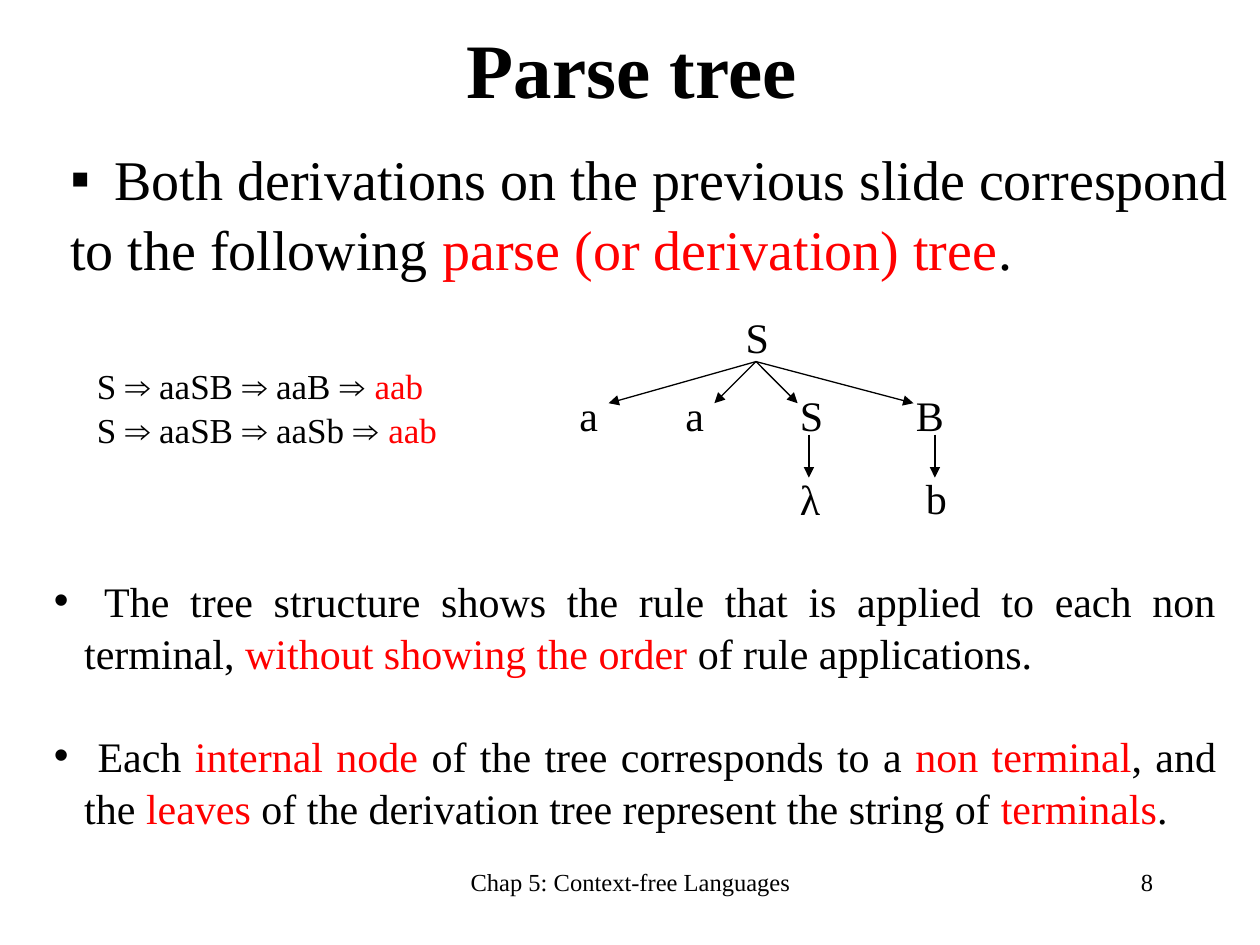
import pptx
import pptx.util
import pptx.dml.color
import pptx.enum.text
import lxml.etree as etree
from pptx.oxml.ns import qn

PX = 9144  # 100 px to the inch
BLACK, RED = "000000", "FF0000"
SERIF, SANS = "Times New Roman", "Arial"
ALIGN = pptx.enum.text.PP_ALIGN


def color(text):
    return pptx.dml.color.RGBColor.from_string(text)


def write(home, box, lines, size, align=ALIGN.LEFT, bullet=None):
    """Add a text box; each line is a list of (text, color, font) runs."""
    frame = home.add_textbox(*(n * PX for n in box)).text_frame
    frame.word_wrap = True
    for i, line in enumerate(lines):
        para = frame.paragraphs[0] if i == 0 else frame.add_paragraph()
        para.alignment = align
        para.font.size = pptx.util.Pt(size)
        if len(lines) > 1:
            para.line_spacing = 1.04
        for text, tint, face in line:
            run = para.add_run()
            run.text = text
            run.font.name = face
            run.font.size = pptx.util.Pt(size)
            run.font.color.rgb = color(tint)
        if bullet and i in bullet:
            props = para._p.get_or_add_pPr()
            props.set("marL", str(24 * PX))
            props.set("indent", str(-24 * PX))
            etree.SubElement(props, qn("a:buFont")).set("typeface", SANS)
            etree.SubElement(props, qn("a:buChar")).set("char", bullet[i])
            # defRPr has to come after the bullet
            props.append(props.find(qn("a:defRPr")))
    return frame


deck = pptx.Presentation()
deck.slide_width, deck.slide_height = 1000 * PX, 750 * PX
slide = deck.slides.add_slide(deck.slide_layouts[5])
shapes = slide.shapes

title = shapes.title
title.left, title.top, title.width, title.height = (n * PX for n in (100, 0, 803, 108))
title.text_frame.text = "Parse tree"
font = title.text_frame.paragraphs[0].font
font.name, font.size, font.bold = SERIF, pptx.util.Pt(44), True
font.color.rgb = color(BLACK)

write(shapes, (46, 108, 947, 117), [
    [(" Both derivations on the previous slide correspond", BLACK, SERIF)],
    [("to the following ", BLACK, SERIF),
     ("parse (or derivation) tree", RED, SERIF), (".", BLACK, SERIF)],
], 32, bullet={0: "▪"})

steps = []
for last in (" aaB ", " aaSb "):
    steps.append([("S ", BLACK, SERIF), ("⇒", BLACK, SANS),
                  (" aaSB ", BLACK, SERIF), ("⇒", BLACK, SANS),
                  (last, BLACK, SERIF), ("⇒ ", BLACK, SANS),
                  ("aab", RED, SERIF)])
write(shapes, (67, 283, 333, 77), steps, 20)

# Parse tree
tree = shapes.add_group_shape().shapes
nodes = [("S", 582, 242, 38), ("a", 450, 304, 35), ("a", 534, 304, 35),
         ("S", 625, 304, 38), ("B", 717, 304, 42),
         ("λ", 625, 371, 36), ("b", 725, 370, 36)]
for name, x, y, w in nodes:
    write(tree, (x, y, w, 50), [[(name, BLACK, SERIF)]], 24)

edges = [(600, 287, x, 320) for x in (483, 567, 633, 725)]
edges += [(x, 345, x, 379) for x in (642, 742)]
for edge in edges:
    line = tree.add_connector(1, *(n * PX for n in edge))
    line.line.color.rgb = color(BLACK)
    line.line.width = pptx.util.Pt(0.75)
    etree.SubElement(line.line._get_or_add_ln(), qn("a:tailEnd")).set("type", "triangle")
    etree.SubElement(line._element.spPr, qn("a:effectLst"))

notes = write(shapes, (33, 450, 942, 210), [
    [(" The tree structure shows the rule that is applied to each non terminal, ", BLACK, SERIF),
     ("without showing the order ", RED, SERIF),
     ("of rule applications. ", BLACK, SERIF)],
    [(" Each ", BLACK, SERIF), ("internal node ", RED, SERIF),
     ("of the tree corresponds to a ", BLACK, SERIF),
     ("non terminal", RED, SERIF), (", and the ", BLACK, SERIF),
     ("leaves", RED, SERIF),
     (" of the derivation tree represent the string of ", BLACK, SERIF),
     ("terminals", RED, SERIF), (".", BLACK, SERIF)],
], 24, ALIGN.JUSTIFY, {0: "•", 1: "•"})
notes.paragraphs[1].space_before = pptx.util.Pt(28.8)

write(shapes, (342, 683, 317, 50),
      [[("Chap 5: Context-free Languages", BLACK, SERIF)]], 14, ALIGN.CENTER)
write(shapes, (717, 683, 208, 50), [[("8", BLACK, SERIF)]], 14, ALIGN.RIGHT)

deck.save("out.pptx")
